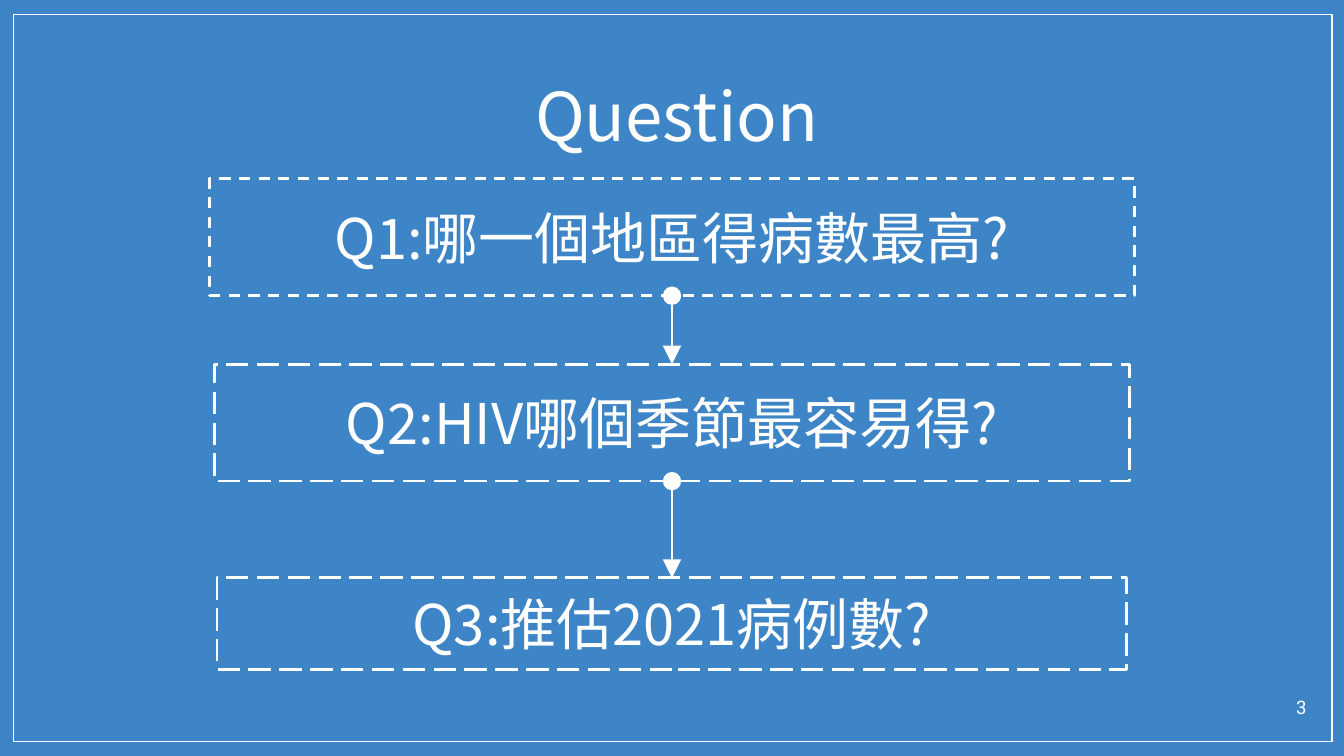
from lxml import etree
from pptx import Presentation
from pptx.dml.color import RGBColor
from pptx.enum.dml import MSO_LINE
from pptx.enum.shapes import MSO_CONNECTOR, MSO_SHAPE
from pptx.enum.text import MSO_ANCHOR, MSO_AUTO_SIZE, PP_ALIGN
from pptx.oxml.ns import qn
from pptx.util import Inches, Pt

# Content: text, top, width, height, dash
TITLE = "Question"
PAGE_NUMBER = "3"
QUESTIONS = [
    ("Q1:哪一個地區得病數最高?", 1.33, 6.88, 0.87, MSO_LINE.DASH),
    ("Q2:HIV哪個季節最容易得?", 2.71, 6.81, 0.87, MSO_LINE.LONG_DASH),
    ("Q3:推估2021病例數?", 4.3, 6.77, 0.68, MSO_LINE.LONG_DASH),
]
SLIDE_WIDTH = 10
SLIDE_HEIGHT = SLIDE_WIDTH * 9 / 16
BLUE, WHITE = "3D85C6", "FFFFFF"
CJK_FONT, LATIN_FONT = "Noto Sans CJK SC", "Roboto"


def paint(color_format, color):
    color_format.rgb = RGBColor.from_string(color)


def write(shape, text, size, font, align, anchor=MSO_ANCHOR.TOP):
    frame = shape.text_frame
    frame.word_wrap = True
    frame.auto_size = MSO_AUTO_SIZE.NONE
    frame.vertical_anchor = anchor
    frame.margin_left = frame.margin_right = Inches(0.1)
    frame.margin_top = frame.margin_bottom = Inches(0.1)
    paragraph = frame.paragraphs[0]
    paragraph.alignment = align
    run = paragraph.add_run()
    run.text = text
    run.font.size = Pt(size)
    run.font.name = font
    run.font.fill.solid()
    paint(run.font.fill.fore_color, WHITE)
    # East Asian characters take their own typeface
    etree.SubElement(run.font._element, qn("a:ea"), typeface=font)


def add_outline(slide, left, top, width, height, weight):
    outline = slide.shapes.add_shape(
        MSO_SHAPE.RECTANGLE, *map(Inches, (left, top, width, height)))
    outline.shadow.inherit = False
    outline.fill.background()
    paint(outline.line.color, WHITE)
    outline.line.width = Pt(weight)
    return outline


def add_arrow(slide, upper, lower):
    arrow = slide.shapes.add_connector(MSO_CONNECTOR.STRAIGHT, 0, 0, 0, 0)
    arrow.begin_connect(upper, 2)
    arrow.end_connect(lower, 0)
    paint(arrow.line.color, WHITE)
    arrow.line.width = Pt(0.75)
    line = arrow.line._get_or_add_ln()
    for end, kind in (("a:headEnd", "oval"), ("a:tailEnd", "triangle")):
        etree.SubElement(line, qn(end), type=kind, w="lg", len="lg")
    etree.SubElement(arrow._element.spPr, qn("a:effectLst"))


def main():
    deck = Presentation()
    deck.slide_width, deck.slide_height = Inches(SLIDE_WIDTH), Inches(SLIDE_HEIGHT)
    slide = deck.slides.add_slide(deck.slide_layouts[5])
    slide.background.fill.solid()
    paint(slide.background.fill.fore_color, BLUE)

    # Frame and title
    add_outline(slide, 0.1, 0.11, 9.81, 5.41, 0.75)
    title = slide.shapes.title
    title.left, title.top = Inches(0.52), Inches(0.45)
    title.width, title.height = Inches(9.03), Inches(0.62)
    write(title, TITLE, 36, CJK_FONT, PP_ALIGN.CENTER)

    # Question boxes, centred on the slide
    boxes = []
    for question, top, width, height, dash in QUESTIONS:
        box = add_outline(slide, (SLIDE_WIDTH - width) / 2, top, width, height, 1.5)
        box.line.dash_style = dash
        write(box, question, 30, CJK_FONT, PP_ALIGN.CENTER, MSO_ANCHOR.MIDDLE)
        boxes.append(box)

    # Arrows from each question to the next
    for upper, lower in zip(boxes, boxes[1:]):
        add_arrow(slide, upper, lower)

    # Page number
    page = slide.shapes.add_textbox(*map(Inches, (9.32, 5.08, 0.5, 0.32)))
    write(page, PAGE_NUMBER, 10, LATIN_FONT, PP_ALIGN.RIGHT)

    deck.save("out.pptx")


if __name__ == "__main__":
    main()
